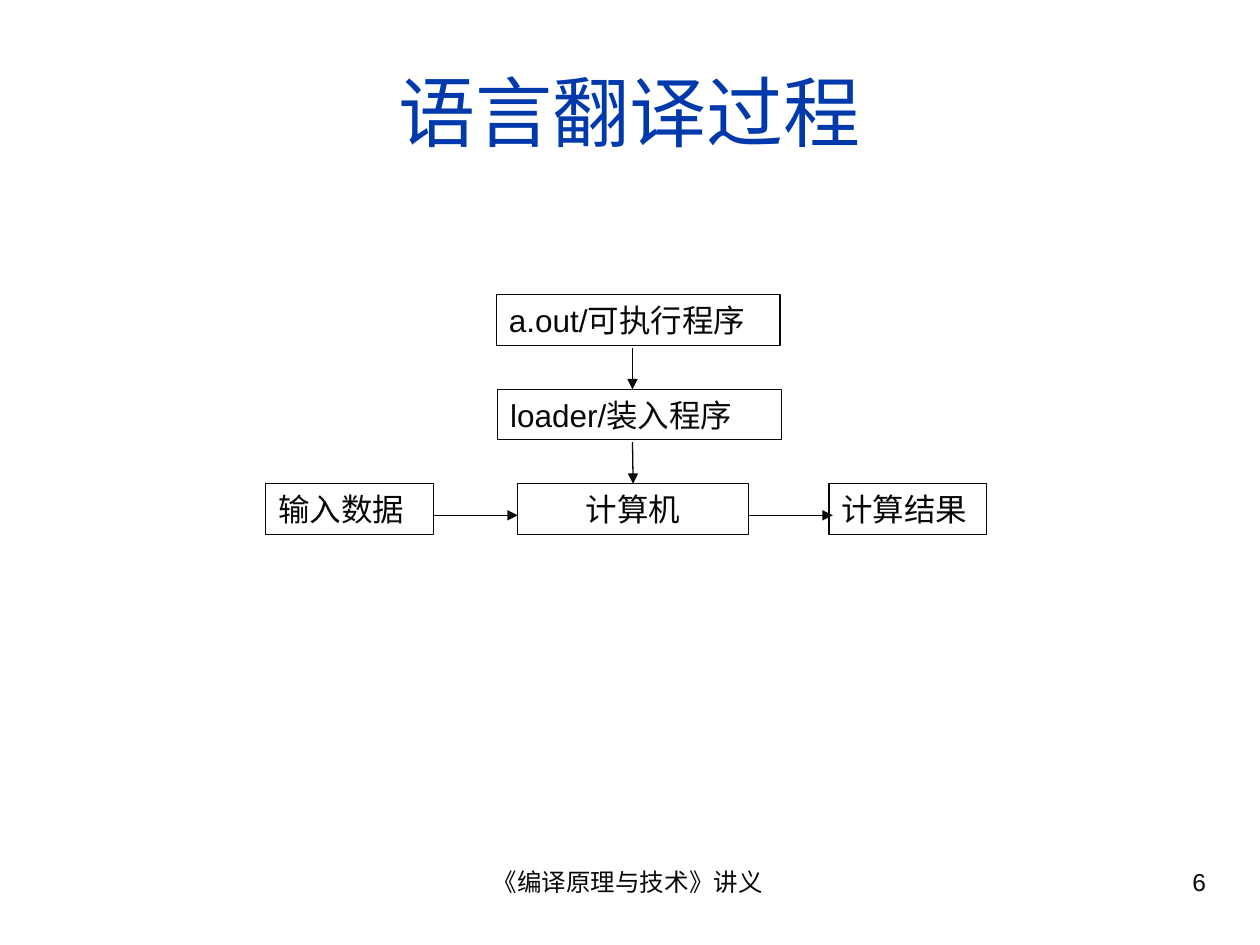
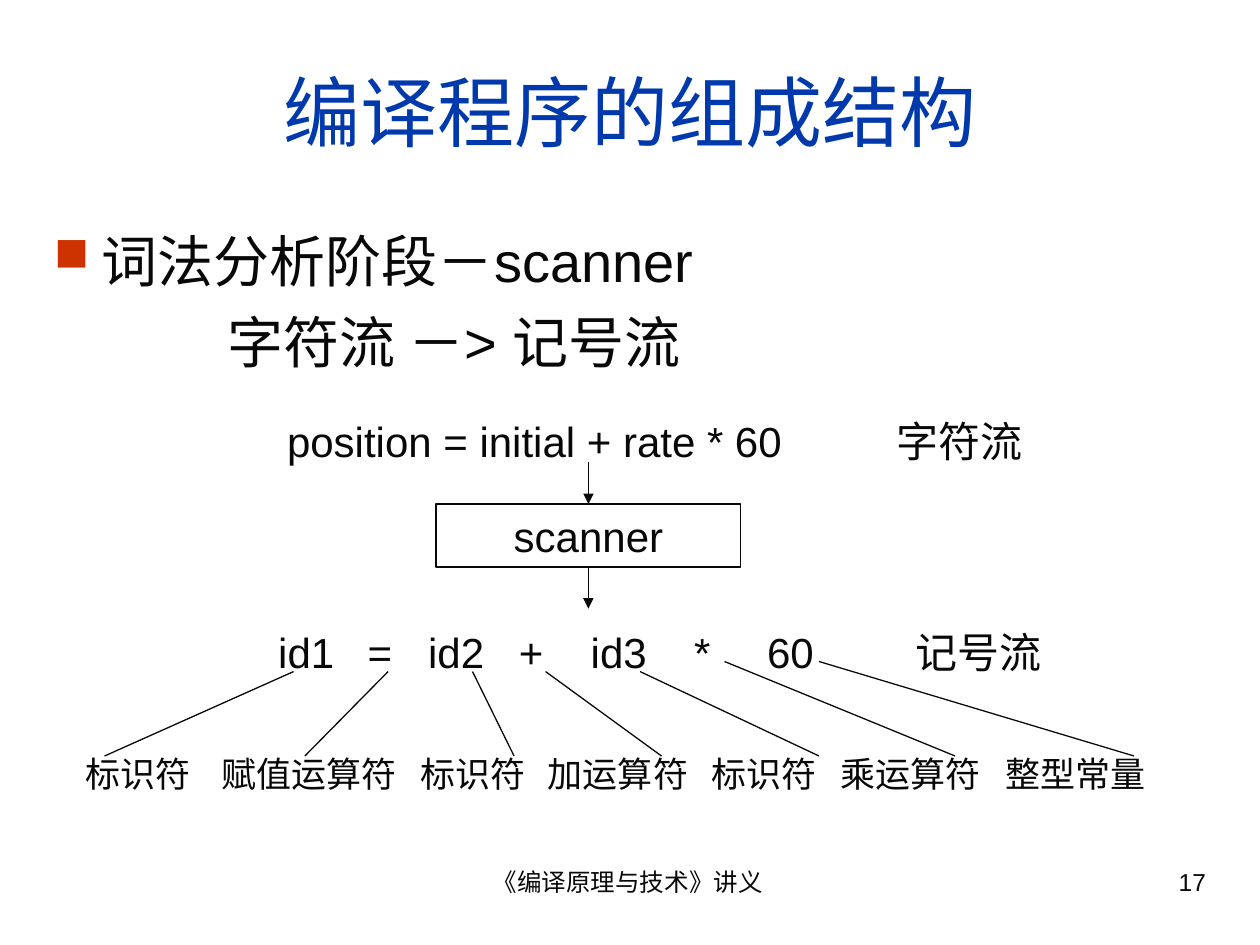
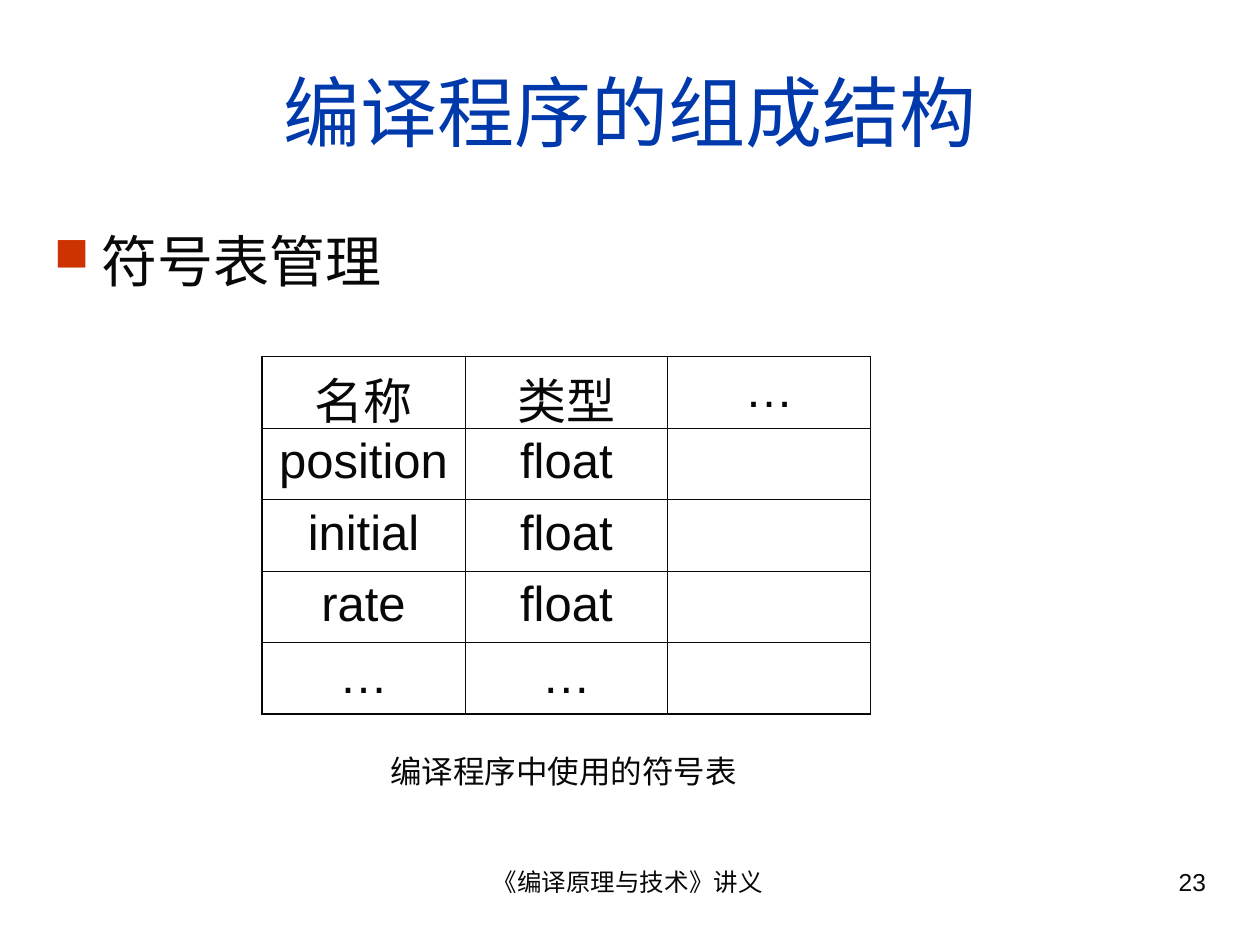
from dataclasses import dataclass

from lxml import etree
from pptx import Presentation
from pptx.dml.color import RGBColor
from pptx.enum import shapes, text
from pptx.oxml import ns
from pptx.util import Inches, Pt

LEFT, CENTER, RIGHT = text.PP_ALIGN.LEFT, text.PP_ALIGN.CENTER, text.PP_ALIGN.RIGHT
TOP_SIDE, BOTTOM_SIDE = 0, 2


@dataclass(frozen=True)
class Theme:
    font: str = "Arial"
    ink: str = "080808"
    title_ink: str = "0039AC"
    bullet_ink: str = "CC3300"
    title: int = 44
    body: int = 32
    cell: int = 28
    code: int = 24
    category: int = 20
    label: int = 18
    footer: int = 14
    line: float = 0.75
    outer_border: float = 1.08
    inner_border: float = 0.45


THEME = Theme()


def add_xml(parent, tag, **attributes):
    return etree.SubElement(parent, ns.qn(tag), attributes)


def write(paragraph, words, size, color=THEME.ink, align=LEFT, before=0):
    paragraph.alignment = align
    paragraph.space_before = Pt(before)
    run = paragraph.add_run()
    run.text = words
    run.font.name = THEME.font
    run.font.size = Pt(size)
    run.font.color.rgb = RGBColor.from_string(color)


def add_text(slide, box, words, size, color=THEME.ink, align=LEFT,
             anchor=text.MSO_ANCHOR.TOP):
    frame = slide.shapes.add_textbox(*map(Inches, box)).text_frame
    frame.word_wrap = True
    frame.vertical_anchor = anchor
    write(frame.paragraphs[0], words, size, color, align)
    return frame


def add_tabbed_row(slide, box, cells, size):
    """Write one line whose (offset, words) cells start at their own tab stops."""
    words = "".join("\t" + cell for _, cell in cells)
    paragraph = add_text(slide, box, words, size).paragraphs[0]
    stops = add_xml(paragraph._p.get_or_add_pPr(), "a:tabLst")
    for offset, _ in cells:
        add_xml(stops, "a:tab", pos=str(Inches(offset)), algn="l")


def add_body(slide, box, heading, detail=None):
    """Write a bulleted heading and, below it, an indented line."""
    frame = add_text(slide, box, heading, THEME.body)
    bulleted = frame.paragraphs[0]
    bulleted.space_before = Pt(8)
    props = bulleted._p.get_or_add_pPr()
    props.set("marL", str(Inches(0.38)))
    props.set("indent", str(Inches(-0.38)))
    add_xml(add_xml(props, "a:buClr"), "a:srgbClr", val=THEME.bullet_ink)
    add_xml(props, "a:buSzPct", val="85000")
    add_xml(props, "a:buChar", char="■")
    if detail:
        indented = frame.add_paragraph()
        write(indented, detail, THEME.body, before=8)
        indented._p.get_or_add_pPr().set("marL", str(Inches(1.38)))


def add_box(slide, box, words, size, align=LEFT):
    rect = slide.shapes.add_shape(shapes.MSO_SHAPE.RECTANGLE, *map(Inches, box))
    rect.shadow.inherit = False
    rect.fill.background()
    rect.line.color.rgb = RGBColor.from_string(THEME.ink)
    rect.line.width = Pt(THEME.line)
    frame = rect.text_frame
    frame.word_wrap = True
    frame.vertical_anchor = text.MSO_ANCHOR.TOP
    write(frame.paragraphs[0], words, size, align=align)
    return rect


def add_line(slide, start, end, arrow=False):
    line = slide.shapes.add_connector(
        shapes.MSO_CONNECTOR.STRAIGHT, *map(Inches, start + end))
    line.line.color.rgb = RGBColor.from_string(THEME.ink)
    line.line.width = Pt(THEME.line)
    props = line.element.spPr
    if arrow:
        add_xml(props.find(ns.qn("a:ln")), "a:tailEnd", type="triangle")
    add_xml(props, "a:effectLst")
    return line


def set_borders(cell, widths):
    """Draw the left, right, top and bottom borders, in that order."""
    props = cell._tc.get_or_add_tcPr()
    for index, (side, width) in enumerate(zip("LRTB", widths)):
        border = add_xml(props, "a:ln" + side, w=str(Pt(width)))
        add_xml(add_xml(border, "a:solidFill"), "a:srgbClr", val=THEME.ink)
        props.insert(index, border)


def add_grid(slide, box, rows):
    last_row, last_column = len(rows) - 1, len(rows[0]) - 1
    table = slide.shapes.add_table(
        len(rows), len(rows[0]), *map(Inches, box)).table
    table.first_row = table.horz_banding = False
    for r, row in enumerate(rows):
        for c, words in enumerate(row):
            cell = table.cell(r, c)
            cell.fill.background()
            edges = (c == 0, c == last_column, r == 0, r == last_row)
            set_borders(cell, [THEME.outer_border if edge else THEME.inner_border
                               for edge in edges])
            if words:
                write(cell.text_frame.paragraphs[0], words, THEME.cell,
                      align=CENTER, before=7)


def add_slide(deck, title, number):
    slide = deck.slides.add_slide(deck.slide_layouts[6])
    add_text(slide, (3.42, 6.83, 3.17, 0.52), "《编译原理与技术》讲义 ",
             THEME.footer, align=CENTER)
    add_text(slide, (7.17, 6.83, 2.5, 0.52), str(number), THEME.footer, align=RIGHT)
    add_text(slide, (0.33, 0.25, 9.34, 1.25), title, THEME.title, THEME.title_ink,
             CENTER, text.MSO_ANCHOR.MIDDLE)
    return slide


def build_translation(deck):
    slide = add_slide(deck, "语言翻译过程", 6)
    height, computer_top, flow_y, load_x = 0.4, 3.84, 4.09, 5.02
    add_box(slide, (3.94, 2.34, 2.25, height), "a.out/可执行程序", THEME.label)
    add_box(slide, (3.95, 3.09, 2.25, height), "loader/装入程序", THEME.label)
    computer = add_box(slide, (4.11, computer_top, 1.83, height), "计算机",
                       THEME.label, CENTER)
    add_box(slide, (2.11, computer_top, 1.33, height), "输入数据", THEME.label)
    add_box(slide, (6.58, computer_top, 1.25, height), "计算结果", THEME.label)

    add_line(slide, (load_x, 2.76), (load_x, 3.09), arrow=True)
    loading = add_line(slide, (load_x, 3.51), (load_x, computer_top), arrow=True)
    loading.end_connect(computer, TOP_SIDE)
    for start_x, end_x in ((3.44, 4.11), (5.94, 6.61)):
        add_line(slide, (start_x, flow_y), (end_x, flow_y), arrow=True)


def build_scanner(deck):
    slide = add_slide(deck, "编译程序的组成结构", 17)
    add_body(slide, (0.33, 1.75, 9.34, 1.33), "词法分析阶段－scanner", "字符流 －> 记号流")
    add_tabbed_row(slide, (1.92, 3.25, 6.83, 0.5),
                   [(0.26, "position = initial + rate * 60"), (5.1, "字符流")],
                   THEME.code)
    scanner = add_box(slide, (3.46, 4, 2.42, 0.5), "scanner", THEME.code, CENTER)
    scanner_x = 4.67
    reading = add_line(slide, (scanner_x, 3.67), (scanner_x, 4), arrow=True)
    reading.end_connect(scanner, TOP_SIDE)
    emitting = add_line(slide, (scanner_x, 4.5), (scanner_x, 4.83), arrow=True)
    emitting.begin_connect(scanner, BOTTOM_SIDE)

    tokens = [(0.44, "id1"), (1.15, "="), (1.63, "id2"), (2.35, "+"),
              (2.92, "id3"), (3.74, "*"), (4.32, "60"), (5.5, "记号流")]
    add_tabbed_row(slide, (1.67, 4.92, 7, 0.5), tokens, THEME.code)
    categories = [(0, "标识符"), (1.08, "赋值运算符"), (2.66, "标识符"),
                  (3.67, "加运算符"), (4.97, "标识符"), (5.99, "乘运算符"),
                  (7.3, "整型常量")]
    first_category = categories[0][1]
    row = add_text(slide, (0.58, 5.92, 8.92, 0.44), first_category
                   + "".join("\t" + name for _, name in categories[1:]),
                   THEME.category).paragraphs[0]
    stops = add_xml(row._p.get_or_add_pPr(), "a:tabLst")
    for offset, _ in categories[1:]:
        add_xml(stops, "a:tab", pos=str(Inches(offset)), algn="l")

    token_ends = [(2.33, 5.33), (3.08, 5.33), (3.75, 5.33), (4.33, 5.33),
                  (5.08, 5.33), (5.75, 5.25), (6.5, 5.25)]
    category_xs = [0.83, 2.42, 4.08, 5.25, 6.5, 7.58, 9]
    for token_end, category_x in zip(token_ends, category_xs):
        add_line(slide, token_end, (category_x, 6))


def build_symbol_table(deck):
    slide = add_slide(deck, "编译程序的组成结构", 23)
    add_body(slide, (0.33, 1.75, 9, 0.92), "符号表管理")
    symbols = [("名称", "类型", "…")]
    symbols += [(name, "float", "") for name in ("position", "initial", "rate")]
    symbols += [("…", "…", "")]
    add_grid(slide, (2.08, 2.83, 4.83, 2.84), symbols)
    add_text(slide, (3, 5.92, 3.67, 0.4), "编译程序中使用的符号表", THEME.label)


def main():
    deck = Presentation()
    deck.slide_width, deck.slide_height = Inches(10), Inches(7.5)
    build_translation(deck)
    build_scanner(deck)
    build_symbol_table(deck)
    deck.save("out.pptx")


if __name__ == "__main__":
    main()
